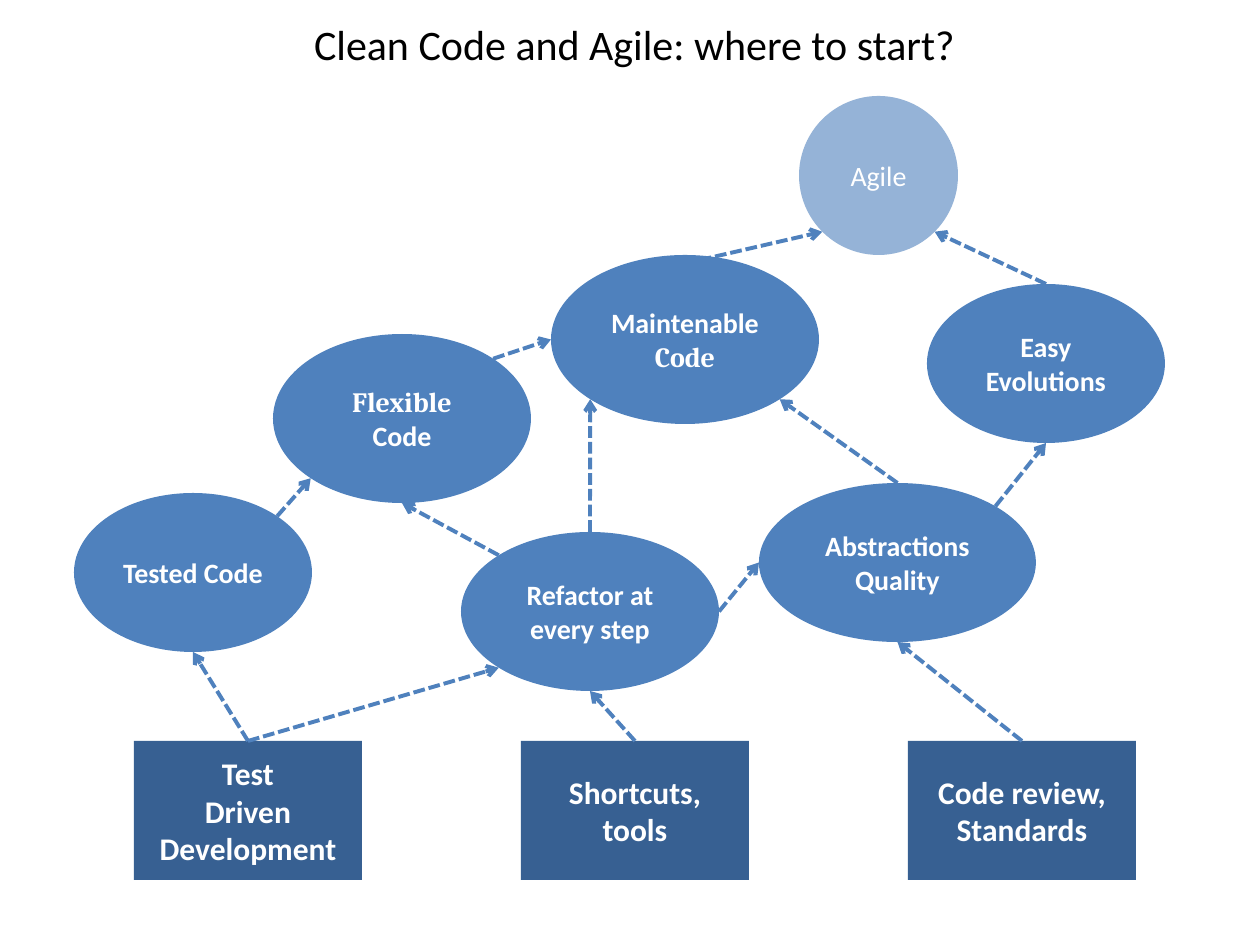
from lxml import etree
from pptx import Presentation
from pptx import util as u
from pptx.dml.color import RGBColor
from pptx.enum import dml, shapes, text
from pptx.oxml.ns import qn

PX = 914400 / 126
COLORS = {"goal": "95B3D7", "quality": "4F81BD", "practice": "376092",
          "arrow": "4F81BD", "label": "FFFFFF", "heading": "000000"}

HEADING = "Clean Code and Agile: where to start?"
SANS, SERIF = "Calibri", "Cambria"

OVALS = {
    "refactor": ([("Refactor at every step", SANS)], (461, 532, 258, 159)),
    "abstractions": ([("Abstractions Quality", SANS)], (759, 483, 277, 159)),
    "evolutions": ([("Easy Evolutions", SANS)], (927, 284, 238, 159)),
    "tested": ([("Tested Code", SANS)], (74, 493, 238, 159)),
    "maintenable": ([("Maintenable", SANS), ("Code", SERIF)], (551, 255, 268, 169)),
    "agile": ([("Agile", SANS)], (799, 96, 159, 159)),
    "flexible": ([("Flexible", SERIF), ("Code", SANS)], (273, 334, 258, 169)),
}
PRACTICES = {
    "tdd": ["Test", "Driven", "Development"],
    "tools": ["Shortcuts, tools"],
    "review": ["Code review,", "Standards"],
}
PRACTICE_LEFT, PRACTICE_TOP, PRACTICE_STEP = 134, 741, 387
PRACTICE_WIDTH, PRACTICE_HEIGHT = 228, 139

DIAG = 0.5 ** 0.5
SITES = {"n": (0, -1), "s": (0, 1), "w": (-1, 0), "e": (1, 0),
         "ne": (DIAG, -DIAG), "nw": (-DIAG, -DIAG),
         "se": (DIAG, DIAG), "sw": (-DIAG, DIAG), "nne": (0.11, -0.94)}
LINKS = [
    ("abstractions", "ne", "evolutions", "s"),
    ("abstractions", "n", "maintenable", "se"),
    ("refactor", "e", "abstractions", "w"),
    ("refactor", "n", "maintenable", "sw"),
    ("tested", "ne", "flexible", "sw"),
    ("flexible", "ne", "maintenable", "w"),
    ("maintenable", "nne", "agile", "sw"),
    ("evolutions", "n", "agile", "se"),
    ("tdd", "n", "tested", "s"),
    ("tools", "n", "refactor", "s"),
    ("review", "n", "abstractions", "s"),
    ("tdd", "n", "refactor", "sw"),
    ("refactor", "nw", "flexible", "s"),
]


def px(*lengths):
    return [u.Emu(round(n * PX)) for n in lengths]


def write(holder, lines, size, color, bold=False):
    frame = holder.text_frame
    frame.word_wrap = True
    frame.auto_size = text.MSO_AUTO_SIZE.NONE
    frame.vertical_anchor = text.MSO_ANCHOR.MIDDLE
    for i, (words, font) in enumerate(lines):
        line = frame.add_paragraph() if i else frame.paragraphs[0]
        line.alignment = text.PP_ALIGN.CENTER
        run = line.add_run()
        run.text = words
        run.font.name = font
        run.font.size = u.Pt(size)
        run.font.bold = bold
        run.font.color.rgb = RGBColor.from_string(COLORS[color])


def add_node(slide, preset, box, fill):
    node = slide.shapes.add_shape(preset, *px(*box))
    node.shadow.inherit = False
    node.fill.solid()
    node.fill.fore_color.rgb = RGBColor.from_string(COLORS[fill])
    node.line.fill.background()
    return node


def site(node, direction):
    dx, dy = SITES[direction]
    return (u.Emu(round(node.left + node.width * (1 + dx) / 2)),
            u.Emu(round(node.top + node.height * (1 + dy) / 2)))


def add_arrow(slide, start, end):
    arrow = slide.shapes.add_connector(shapes.MSO_CONNECTOR.STRAIGHT, *start, *end)
    arrow.line.color.rgb = RGBColor.from_string(COLORS["arrow"])
    arrow.line.width = u.Pt(2.25)
    arrow.line.dash_style = dml.MSO_LINE.SQUARE_DOT
    etree.SubElement(arrow.line._get_or_add_ln(), qn("a:tailEnd"), type="arrow")
    etree.SubElement(arrow._element.spPr, qn("a:effectLst"))
    return arrow


def main():
    deck = Presentation()
    deck.slide_width, deck.slide_height = px(1260, 945)
    slide = deck.slides.add_slide(deck.slide_layouts[5])

    heading = slide.shapes.title
    heading.left, heading.top, heading.width, heading.height = px(44, 6, 1181, 76)
    write(heading, [(HEADING, SANS)], 24, "heading")

    nodes = {}
    for name, (lines, box) in OVALS.items():
        is_goal = name == "agile"
        nodes[name] = add_node(slide, shapes.MSO_SHAPE.OVAL, box,
                               "goal" if is_goal else "quality")
        write(nodes[name], lines, 16, "label", bold=not is_goal)
    for i, (name, lines) in enumerate(PRACTICES.items()):
        box = (PRACTICE_LEFT + i * PRACTICE_STEP, PRACTICE_TOP,
               PRACTICE_WIDTH, PRACTICE_HEIGHT)
        nodes[name] = add_node(slide, shapes.MSO_SHAPE.RECTANGLE, box, "practice")
        write(nodes[name], [(words, SANS) for words in lines], 18, "label", bold=True)

    for source, leave, target, arrive in LINKS:
        arrow = add_arrow(slide, site(nodes[source], leave), site(nodes[target], arrive))
        if source in PRACTICES:
            arrow.begin_connect(nodes[source], 0)

    deck.save("out.pptx")


if __name__ == "__main__":
    main()
